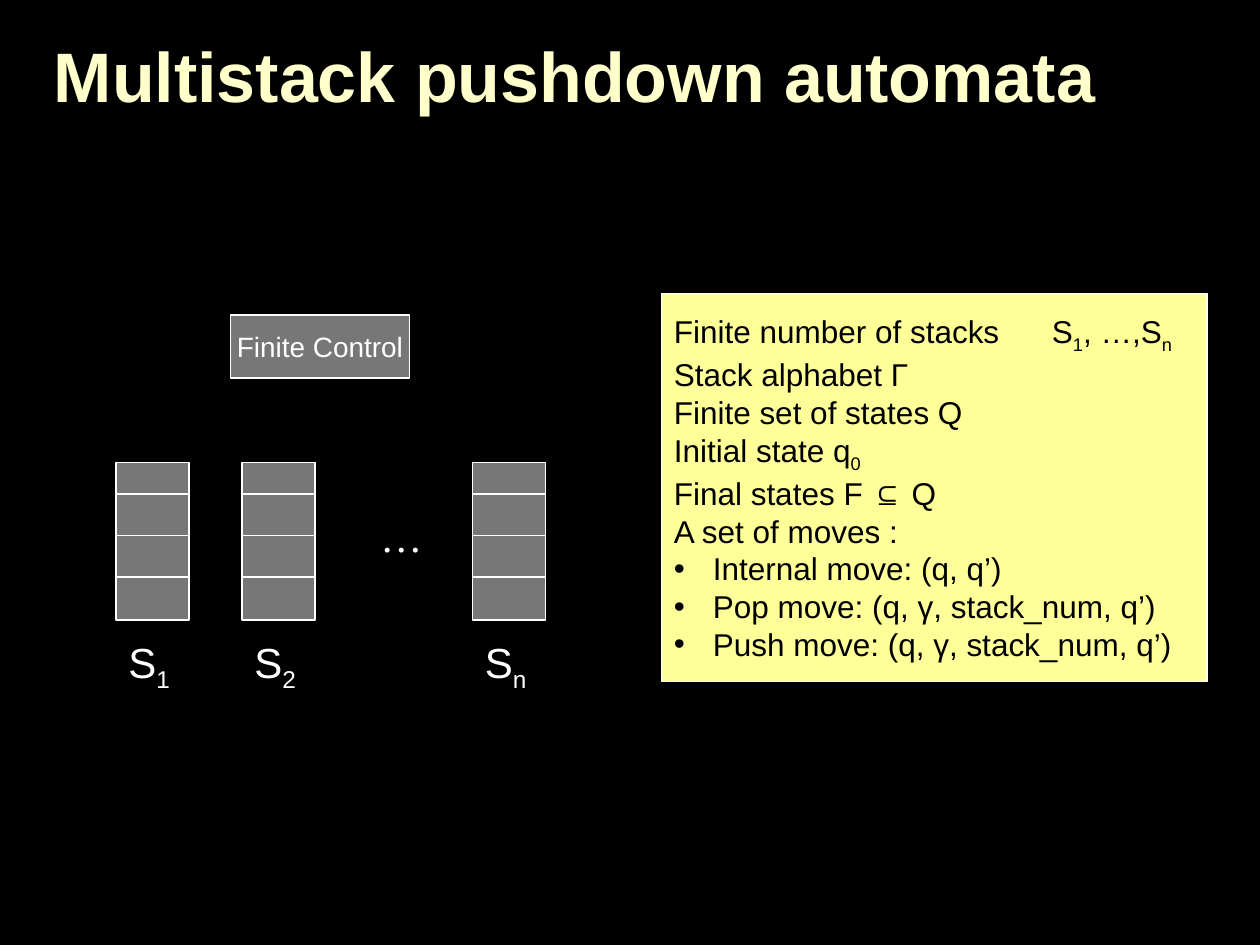
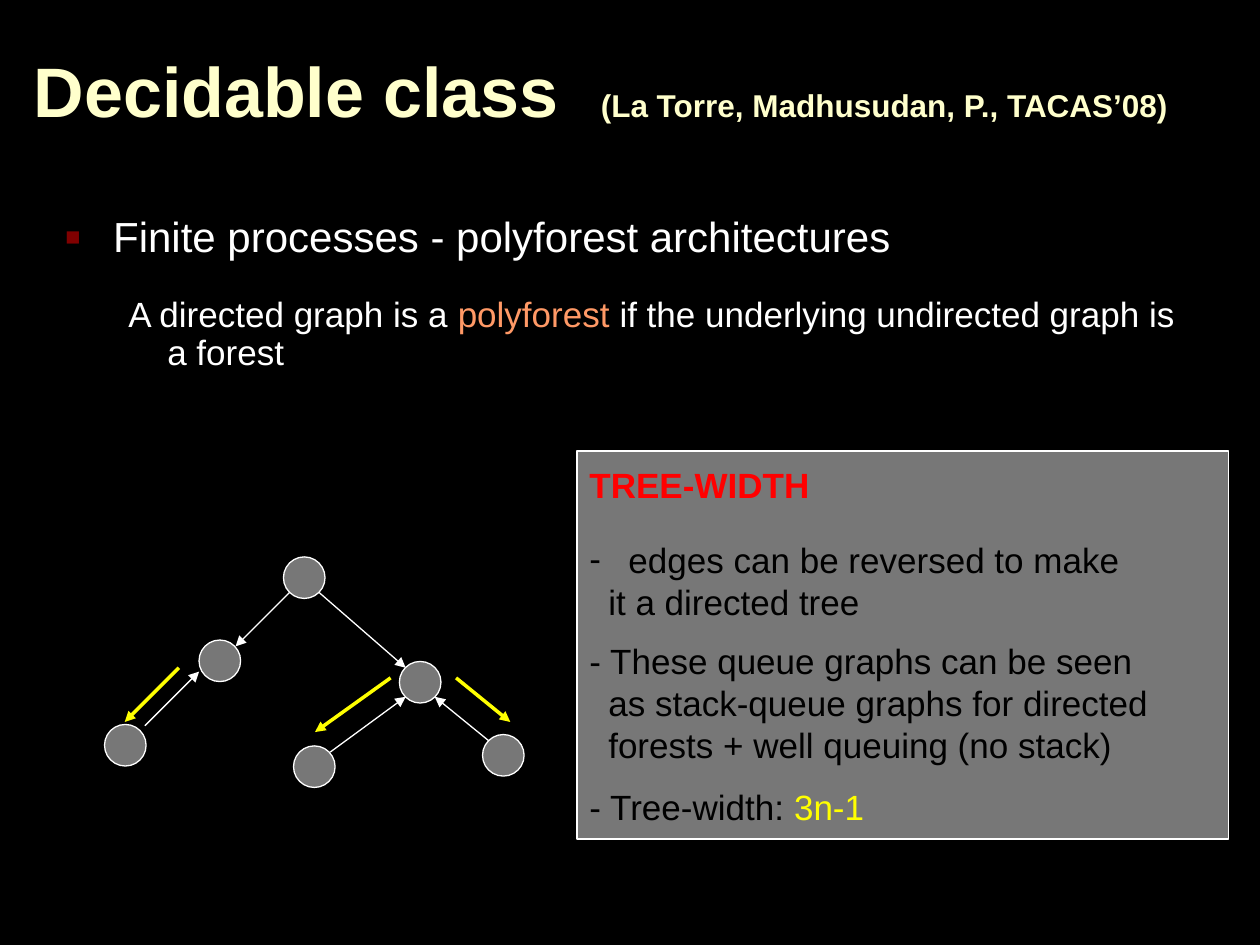
from lxml import etree
from pptx import Presentation
from pptx.dml import color
from pptx.enum import shapes, text
from pptx.oxml import ns
from pptx.util import Inches, Pt

BLACK, WHITE, GREY = "000000", "FFFFFF", "777777"
CREAM, PALE, YELLOW = "FFFFCC", "FFFF99", "FFFF00"
MAROON, ORANGE, RED = "800000", "FF9966", "FF0000"
RECT, OVAL = shapes.MSO_SHAPE.RECTANGLE, shapes.MSO_SHAPE.OVAL


def rgb(code):
    """Turn a hex string into a colour."""
    return color.RGBColor.from_string(code)


def add(node, tag, **attrs):
    """Append a DrawingML element to a node."""
    child = etree.SubElement(node, ns.qn("a:" + tag))
    for key, value in attrs.items():
        child.set(key, str(value))
    return child


def sub(label):
    """Make a subscript run."""
    return label, {"sub": True}


class Deck:
    """Hold the shared style and the current slide."""

    def __init__(self):
        """Start an empty deck."""
        self.prs = Presentation()
        self.prs.slide_width, self.prs.slide_height = Inches(10), Inches(7.5)
        self.base = {"name": "Arial", "size": 18, "bold": False, "color": WHITE}

    def page(self):
        """Add a black slide."""
        self.slide = self.prs.slides.add_slide(self.prs.slide_layouts[6])
        fill = self.slide.background.fill
        fill.solid()
        fill.fore_color.rgb = rgb(BLACK)

    def run(self, para, item, style):
        """Add one run, given as a string or a string with its format."""
        words, extra = (item, {}) if isinstance(item, str) else item
        look = {**self.base, **style, **extra}
        run = para.add_run()
        run.text = words
        if look.pop("sub", False):
            run._r.get_or_add_rPr().set("baseline", "-25000")
        run.font.color.rgb = rgb(look.pop("color"))
        look["size"] = Pt(look["size"])
        for key, value in look.items():
            setattr(run.font, key, value)

    def fill(self, frame, paras, style):
        """Write paragraphs, each a list of runs with an optional layout dict."""
        for i, (runs, form) in enumerate(paras):
            para = frame.paragraphs[0] if i == 0 else frame.add_paragraph()
            form = {"alignment": text.PP_ALIGN.LEFT, **form}
            props = para._p.get_or_add_pPr()
            left, first = form.pop("indent", (0, 0))
            props.set("marL", str(Inches(left)))
            props.set("indent", str(Inches(first)))
            mark, tint, scale = form.pop("bullet", (None, None, None))
            if tint:
                add(add(props, "buClr"), "srgbClr", val=tint)
                add(props, "buSzPct", val=scale * 1000)
            if mark:
                add(props, "buFont", typeface="Arial")
                add(props, "buChar", char=mark)
            if "tab" in form:
                add(add(props, "tabLst"), "tab", pos=Inches(form.pop("tab")), algn="l")
            for key, value in form.items():
                setattr(para, key, value)
            for item in runs:
                self.run(para, item, style)

    def text(self, at, paras, middle=False, **style):
        """Add a wrapping text box."""
        frame = self.slide.shapes.add_textbox(*map(Inches, at)).text_frame
        frame.word_wrap = True
        if middle:
            frame.vertical_anchor = text.MSO_ANCHOR.MIDDLE
        self.fill(frame, paras, style)

    def title(self, at, runs, **form):
        """Add a slide title."""
        form["line_spacing"] = 0.7
        self.text(at, [(runs, form)], True, size=40, bold=True, color=CREAM)

    def shape(self, kind, at, paras=(), back=GREY, **style):
        """Add an outlined shape with optional text."""
        shape = self.slide.shapes.add_shape(kind, *map(Inches, at))
        shape.shadow.inherit = False
        shape.fill.solid()
        shape.fill.fore_color.rgb = rgb(back)
        shape.line.color.rgb = rgb(WHITE)
        shape.line.width = Pt(0.75)
        frame = shape.text_frame
        frame.word_wrap = not style.pop("tight", False)
        frame.vertical_anchor = text.MSO_ANCHOR.MIDDLE
        self.fill(frame, paras, style)

    def line(self, ends, tint=WHITE, width=0.75, arrow=False):
        """Add a straight line or arrow."""
        link = self.slide.shapes.add_connector(
            shapes.MSO_CONNECTOR.STRAIGHT, *map(Inches, ends))
        link.line.color.rgb = rgb(tint)
        link.line.width = Pt(width)
        if arrow:
            add(link.line._get_or_add_ln(), "tailEnd", type="triangle")
        add(link._element.spPr, "effectLst")

    def stack(self, left, index):
        """Add a stack with its cells and its label."""
        self.shape(RECT, (left, 3.67, 0.58, 1.25))
        for y in (3.92, 4.25, 4.58):
            self.line((left, y, left + 0.58, y))
        self.text((left, 5, 0.67, 0.5), [(["S", sub(index)], {})], size=24)


def stacks(deck):
    """Build the multistack automaton slide."""
    deck.page()
    deck.title((0.33, 0.05, 9.08, 1.25), ["Multistack pushdown automata"])
    for left, index in ((0.92, "1"), (1.92, "2"), (3.75, "n")):
        deck.stack(left, index)
    deck.text((2.92, 4, 0.67, 0.5), [(["…"], {})], size=24, name="Times New Roman")
    deck.shape(RECT, (1.83, 2.5, 1.42, 0.5),
               [(["Finite Control"], {"alignment": text.PP_ALIGN.CENTER})],
               size=16, tight=True)
    facts = [
        (["Finite number of stacks\tS", sub("1"), ", …,S", sub("n")], {"tab": 2.72}),
        (["Stack alphabet Γ"], {}),
        (["Finite set of states Q"], {}),
        (["Initial state q", sub("0")], {}),
        (["Final states F ⊆ Q"], {}),
        (["A set of moves :"], {}),
    ]
    moves = ("Internal move: (q, q’)", "Pop move: (q, γ, stack_num, q’)",
             "Push move: (q, γ, stack_num, q’)")
    facts += [([move], {"indent": (0.31, -0.31), "bullet": ("•", None, None)})
              for move in moves]
    deck.shape(RECT, (5.25, 2.33, 4.33, 3.08), facts, PALE, color=BLACK)


def forest(deck):
    """Build the polyforest slide."""
    deck.page()
    deck.title((0.17, 0.17, 9.75, 1.25),
               ["Decidable class\t",
                ("(La Torre, Madhusudan, P., TACAS’08)", {"size": 18})], tab=4.93)
    deck.text((0.42, 1.67, 9.17, 1.08), [
        ([("Finite processes - polyforest architectures", {"size": 24})],
         {"indent": (0.38, -0.38), "line_spacing": 0.9, "bullet": ("■", MAROON, 60)}),
        (["A directed graph is a ", ("polyforest", {"color": ORANGE}),
          " if the underlying undirected graph is a forest"],
         {"indent": (0.81, -0.31), "line_spacing": 0.9, "space_before": Pt(20)}),
    ], size=20)
    nodes = ((2.25, 4.42), (1.58, 5.08), (3.17, 5.25),
             (2.33, 5.92), (0.83, 5.75), (3.83, 5.83))
    for left, top in nodes:
        deck.shape(OVAL, (left, top, 0.33, 0.33))
    edges = ((2.3, 4.7, 1.87, 5.13), (1.15, 5.76, 1.58, 5.33),
             (2.62, 5.97, 3.22, 5.53), (2.53, 4.7, 3.22, 5.3),
             (3.88, 5.88, 3.45, 5.53))
    for ends in edges:
        deck.line(ends, arrow=True)
    hang = (0.15, -0.15)
    deck.shape(RECT, (4.58, 3.58, 5.17, 3.08), [
        ([("TREE-WIDTH", {"color": RED, "bold": True})], {}),
        (["edges can be reversed to make"],
         {"indent": (0.31, -0.31), "bullet": ("-", None, None), "space_before": Pt(19)}),
        (["it a directed tree"], {"indent": (0.15, 0)}),
        (["- These queue graphs can be seen"],
         {"indent": hang, "space_before": Pt(10)}),
        (["as stack-queue graphs for directed"], {"indent": (0.15, 0)}),
        (["forests + well queuing (no stack)"], {"indent": (0.15, 0)}),
        (["- Tree-width: ", ("3n-1", {"color": YELLOW})],
         {"indent": hang, "space_before": Pt(11)}),
    ], size=20, color=BLACK)
    flips = ((1.42, 5.3, 0.99, 5.73), (3.1, 5.38, 2.5, 5.81), (3.62, 5.38, 4.05, 5.73))
    for ends in flips:
        deck.line(ends, YELLOW, 2, True)


def main():
    """Build and save the deck."""
    deck = Deck()
    stacks(deck)
    forest(deck)
    deck.prs.save("out.pptx")


if __name__ == "__main__":
    main()
